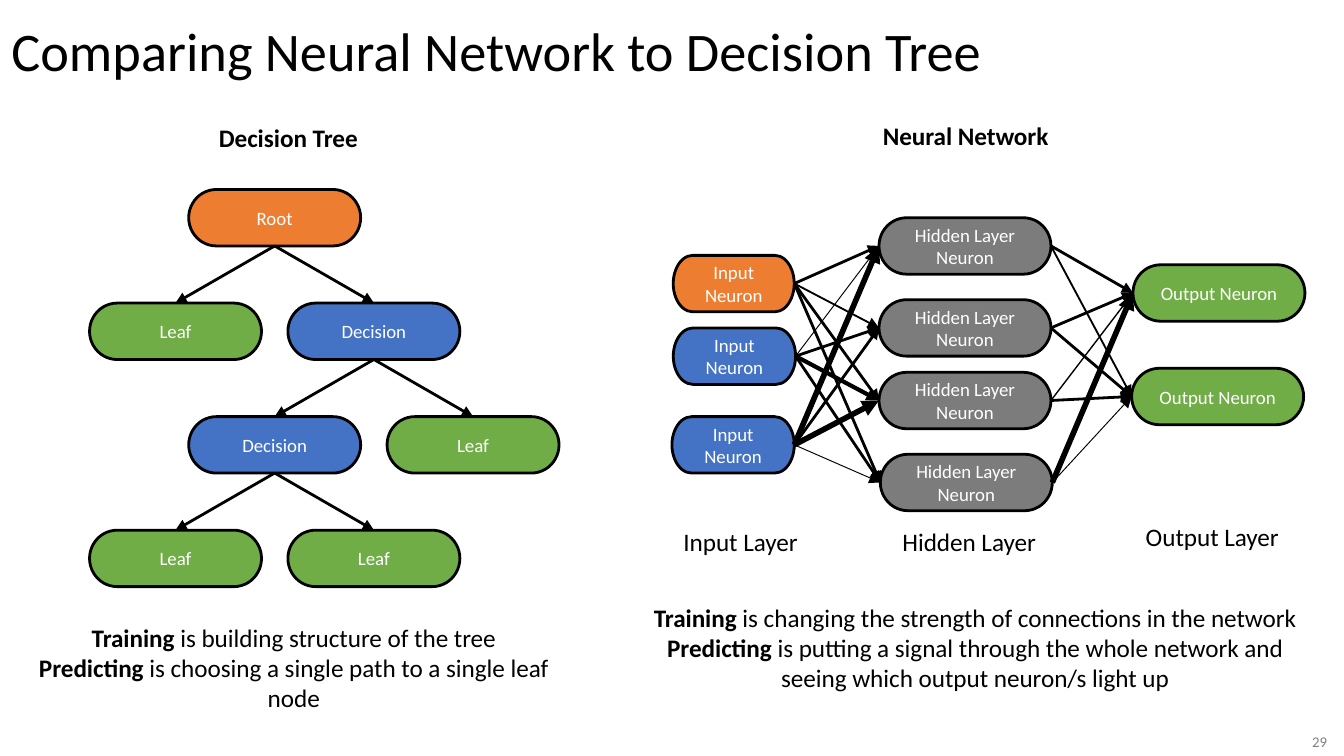
from dataclasses import dataclass

from lxml import etree
from pptx import Presentation
from pptx import util as u
from pptx.dml.color import RGBColor
from pptx.enum import shapes, text
from pptx.oxml.ns import qn

# Square grid: 100 columns over the slide width, 56.25 rows over its height
COLS = 100
W = u.Inches(10)
H = W * 9 // 16
UNIT = W / COLS

FONT = "Calibri"
BLACK, WHITE, GREY = "000000", "FFFFFF", "808080"
ORANGE, BLUE, GREEN, DARK = "ED7D31", "4472C4", "70AD47", "7C7C7C"
NODE_W, NODE_H = 12.8, 4.2
TOP, LEFT, BOTTOM, RIGHT = range(4)  # connection sites of a node
CENTER = text.PP_ALIGN.CENTER


@dataclass(frozen=True)
class Node:
    label: str
    fill: str
    col: float
    row: float
    width: float = NODE_W


@dataclass(frozen=True)
class Label:
    lines: tuple  # each line is (bold part, plain part)
    col: float
    row: float
    width: float
    height: float
    align: text.PP_ALIGN = CENTER
    size: float = 13.5
    color: str = BLACK
    anchor: text.MSO_ANCHOR = text.MSO_ANCHOR.TOP
    spacing: float = 1.0


def rgb(color: str) -> RGBColor:
    return RGBColor.from_string(color)


def grid(*values: float) -> list:
    return [u.Emu(round(v * UNIT)) for v in values]


def set_font(p, size: float, color: str) -> None:
    p.font.name, p.font.size = FONT, u.Pt(size)
    p.font.color.rgb = rgb(color)


def set_frame(tf, anchor) -> None:
    tf.word_wrap, tf.vertical_anchor = True, anchor
    tf.margin_left, tf.margin_right, tf.margin_top, tf.margin_bottom = grid(0.85, 0.85, 0.5, 0.5)


def add_node(s, node: Node):
    sp = s.shapes.add_shape(shapes.MSO_SHAPE.FLOWCHART_TERMINATOR,
                            *grid(node.col, node.row, node.width, NODE_H))
    sp.shadow.inherit = False
    sp.fill.solid()
    sp.fill.fore_color.rgb = rgb(node.fill)
    sp.line.color.rgb, sp.line.width = rgb(BLACK), u.Pt(1.5)
    set_frame(sp.text_frame, text.MSO_ANCHOR.MIDDLE)
    p = sp.text_frame.paragraphs[0]
    p.text, p.alignment = node.label, CENTER
    set_font(p, 10.1, WHITE)
    return sp


def add_arrow(s, start, start_site: int, end, end_site: int, weight: float = 1.5) -> None:
    c = s.shapes.add_connector(shapes.MSO_CONNECTOR.STRAIGHT, 0, 0, 0, 0)
    c.begin_connect(start, start_site)
    c.end_connect(end, end_site)
    c.line.color.rgb, c.line.width = rgb(BLACK), u.Pt(weight)
    etree.SubElement(c.line._get_or_add_ln(), qn("a:tailEnd"), type="triangle")
    etree.SubElement(c._element.spPr, qn("a:effectLst"))


def add_label(s, label: Label) -> None:
    box = s.shapes.add_textbox(*grid(label.col, label.row, label.width, label.height))
    tf = box.text_frame
    set_frame(tf, label.anchor)
    for i, (bold, plain) in enumerate(label.lines):
        p = tf.add_paragraph() if i else tf.paragraphs[0]
        p.alignment, p.line_spacing = label.align, label.spacing
        set_font(p, label.size, label.color)
        for part, is_bold in ((bold, True), (plain, False)):
            if part:
                r = p.add_run()
                r.text, r.font.bold = part, is_bold


# Decision tree: half-node columns and evenly spaced levels
def tree_node(label: str, fill: str, column: int, level: int) -> Node:
    return Node(label, fill, 6.66 + 7.38 * column, 14.1 + 8.45 * level)


TREE = (
    tree_node("Root", ORANGE, 1, 0),
    tree_node("Leaf", GREEN, 0, 1),
    tree_node("Decision", BLUE, 2, 1),
    tree_node("Decision", BLUE, 1, 2),
    tree_node("Leaf", GREEN, 3, 2),
    tree_node("Leaf", GREEN, 0, 3),
    tree_node("Leaf", GREEN, 2, 3),
)
BRANCHES = {0: (1, 2), 2: (3, 4), 3: (5, 6)}

# Neural network: layers from left to right
LAYERS = (
    (Node("Input Neuron", ORANGE, 50.1, 19, 9),
     Node("Input Neuron", BLUE, 50.1, 24.4, 9.1),
     Node("Input Neuron", BLUE, 50, 31, 9.1)),
    tuple(Node("Hidden Layer Neuron", DARK, col, row)
          for col, row in ((65.4, 16.2), (65.4, 22.3), (65.4, 27.7), (65.5, 33.8))),
    tuple(Node("Output Neuron", GREEN, col, row)
          for col, row in ((84.3, 19.7), (84.2, 27.4))),
)
# Line widths: one row per sending neuron, one value per receiving neuron
WEIGHTS = (
    ((1.5, 1, 1.5, 1.5), (0.5, 1.5, 2.25, 1.5), (3, 1.5, 3, 0.5)),
    ((1.5, 1), (1.5, 1.5), (0.75, 1.5), (3, 0.5)),
)

LEFT_ALIGN = text.PP_ALIGN.LEFT
LABELS = (
    # Title and slide number
    Label((("", "Comparing Neural Network to Decision Tree"),), 0, 0.2, 100, 7.6,
          LEFT_ALIGN, 29.1, anchor=text.MSO_ANCHOR.MIDDLE, spacing=0.9),
    Label((("", "29"),), 88.6, 54, 11, 2.3, text.PP_ALIGN.RIGHT, 7.9, GREY),
    # Headings
    Label((("Decision Tree", ""),), 10.4, 8.6, 22.1, 3.3),
    Label((("Neural Network", ""),), 60.8, 8.5, 22.1, 3.3),
    # Layer names
    Label((("", "Input Layer"),), 50, 38.7, 11.8, 3.3, LEFT_ALIGN),
    Label((("", "Hidden Layer"),), 66.3, 38.7, 13.3, 3.3, LEFT_ALIGN),
    Label((("", "Output Layer"),), 84.4, 38.3, 13.3, 3.3, LEFT_ALIGN),
    # Explanations
    Label((("Training", " is building structure of the tree"),
           ("Predicting", " is choosing a single path to a single leaf node")),
          1.9, 45.8, 39.9, 7.8),
    Label((("Training", " is changing the strength of connections in the network"),
           ("Predicting ", "is putting a signal through the whole network and "
                           "seeing which output neuron/s light up")),
          47.4, 44.3, 50.3, 7.8),
)


def main() -> None:
    prs = Presentation()
    prs.slide_width, prs.slide_height = W, H
    s = prs.slides.add_slide(prs.slide_layouts[6])

    # Tree
    tree = [add_node(s, node) for node in TREE]
    for parent, children in BRANCHES.items():
        for child in children:
            add_arrow(s, tree[parent], BOTTOM, tree[child], TOP)

    # Network
    layers = [[add_node(s, node) for node in layer] for layer in LAYERS]
    for senders, receivers, weights in zip(layers, layers[1:], WEIGHTS):
        for sender, row in zip(senders, weights):
            for receiver, weight in zip(receivers, row):
                add_arrow(s, sender, RIGHT, receiver, LEFT, weight)

    # Text
    for label in LABELS:
        add_label(s, label)

    prs.save("out.pptx")


if __name__ == "__main__":
    main()
